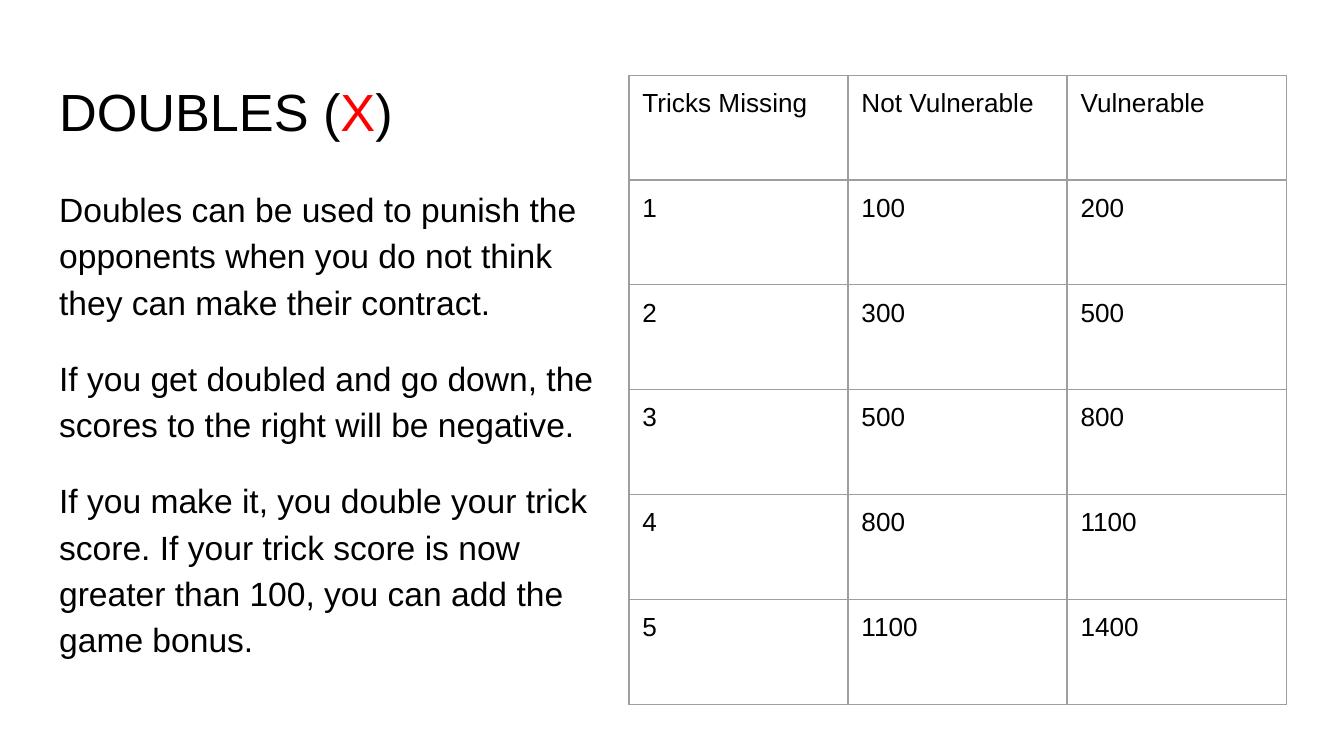
from lxml.etree import SubElement
from pptx import Presentation
from pptx.dml.color import RGBColor as RGB
from pptx.enum.text import MSO_ANCHOR as ANCHOR, MSO_AUTO_SIZE as AUTO, PP_ALIGN as ALIGN
from pptx.oxml.ns import qn
from pptx.util import Inches, Pt

COLORS = {"bg": "FFFFFF", "text": "000000", "accent": "FF0000", "border": "9E9E9E"}

PARAGRAPHS = [
    "Doubles can be used to punish the opponents when you do not think they can make their contract.",
    "If you get doubled and go down, the scores to the right will be negative.",
    "If you make it, you double your trick score. If your trick score is now greater than 100, "
    "you can add the game bonus.",
]

SCORES = [
    ("Tricks Missing", "Not Vulnerable", "Vulnerable"),
    (1, 100, 200),
    (2, 300, 500),
    (3, 500, 800),
    (4, 800, 1100),
    (5, 1100, 1400),
]


class SlideBuilder:
    """Holds the text style and the current slide, and adds each kind of element."""

    font = "Arial"
    inset = Inches(0.1)

    def __init__(self, prs):
        self.slide = prs.slides.add_slide(prs.slide_layouts[1])
        fill = self.slide.background.fill
        fill.solid()
        fill.fore_color.rgb = RGB.from_string(COLORS["bg"])

    def style(self, p, size):
        p.alignment = ALIGN.LEFT
        p.font.name = self.font
        p.font.size = Pt(size)
        p.font.color.rgb = RGB.from_string(COLORS["text"])

    def place(self, sp, left, top, width, height):
        sp.left, sp.top = Inches(left), Inches(top)
        sp.width, sp.height = Inches(width), Inches(height)
        tf = sp.text_frame
        tf.word_wrap = True
        tf.auto_size = AUTO.NONE
        tf.vertical_anchor = ANCHOR.TOP
        tf.margin_left = tf.margin_right = tf.margin_top = tf.margin_bottom = self.inset
        return tf

    def title(self, runs, box, size=28):
        p = self.place(self.slide.shapes.title, *box).paragraphs[0]
        self.style(p, size)
        for text, color in runs:
            r = p.add_run()
            r.text = text
            r.font.color.rgb = RGB.from_string(COLORS[color])

    def body(self, texts, box, size=18, gap=16):
        tf = self.place(self.slide.placeholders[1], *box)
        tf.text = "\n".join(texts)
        for i, p in enumerate(tf.paragraphs):
            self.style(p, size)
            p.line_spacing = 1.15
            p.space_before = Pt(gap if i else 0)
            p.space_after = Pt(0)
            pPr = p._p.get_or_add_pPr()
            pPr.set("marL", "0")
            pPr.set("indent", "0")
            pPr.insert_element_before(pPr.makeelement(qn("a:buNone")), "a:tabLst", "a:defRPr", "a:extLst")
        p.space_after = Pt(gap)

    def borders(self, cell, width=0.75):
        tcPr = cell._tc.get_or_add_tcPr()
        for i, side in enumerate("LRTB"):
            ln = tcPr.makeelement(qn(f"a:ln{side}"), {"w": str(Pt(width))})
            SubElement(SubElement(ln, qn("a:solidFill")), qn("a:srgbClr"), val=COLORS["border"])
            tcPr.insert(i, ln)

    def table(self, rows, left, top, col_width, row_height, size=14):
        n_rows, n_cols = len(rows), len(rows[0])
        table = self.slide.shapes.add_table(
            n_rows, n_cols, Inches(left), Inches(top),
            Inches(col_width * n_cols), Inches(row_height * n_rows),
        ).table
        table.first_row = table.horz_banding = False
        for cell, value in zip(table.iter_cells(), (v for row in rows for v in row)):
            cell.text = str(value)
            cell.margin_left = cell.margin_right = cell.margin_top = cell.margin_bottom = self.inset
            cell.fill.background()
            self.style(cell.text_frame.paragraphs[0], size)
            self.borders(cell)


def main():
    prs = Presentation()
    prs.slide_width = Inches(10)
    prs.slide_height = prs.slide_width * 9 // 16
    s = SlideBuilder(prs)
    s.title([("DOUBLES (", "text"), ("X", "accent"), (")", "text")], (0.34, 0.49, 9.32, 0.63))
    s.body(PARAGRAPHS, (0.34, 1.26, 4.34, 3.74))
    s.table(SCORES, 4.68, 0.56, 1.63, 0.78)
    prs.save("out.pptx")


if __name__ == "__main__":
    main()
